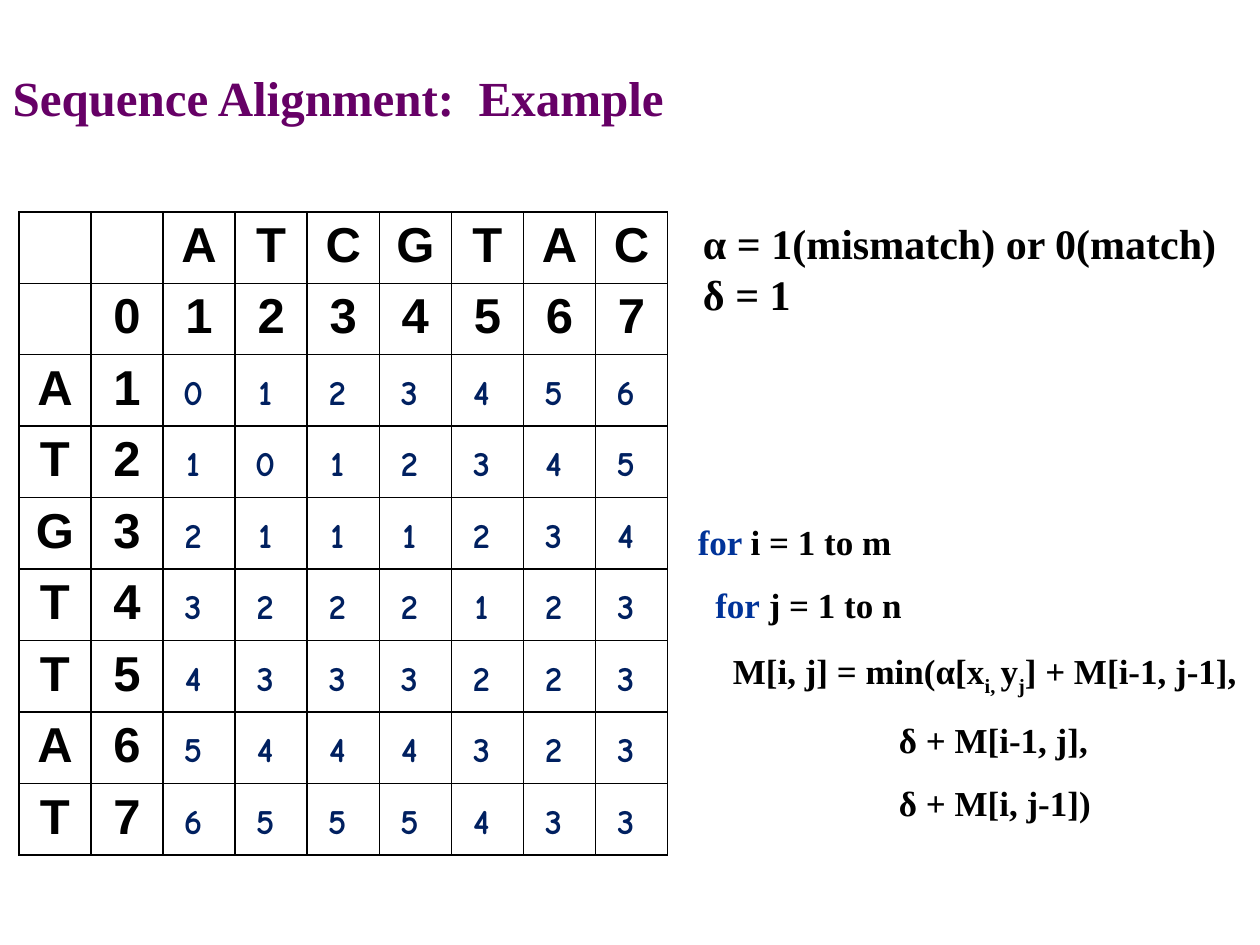
from lxml.etree import SubElement
from pptx import Presentation
from pptx.dml.color import RGBColor
from pptx.enum.shapes import MSO_SHAPE as Shape
from pptx.enum.text import MSO_ANCHOR as Anchor, MSO_AUTO_SIZE as AutoSize, PP_ALIGN as Align
from pptx.oxml.ns import qn
from pptx.util import Pt

PURPLE = RGBColor(0x66, 0x00, 0x66)
BLACK = RGBColor(0x00, 0x00, 0x00)
BLUE = RGBColor(0x00, 0x33, 0x99)
NAVY = RGBColor(0x00, 0x20, 0x60)
WHITE = RGBColor(0xFF, 0xFF, 0xFF)

SERIF = "Times New Roman"
TITLE = {"name": SERIF, "size": Pt(28), "bold": True, "color": PURPLE}
COSTS = {"name": SERIF, "size": Pt(24), "bold": True, "color": BLACK}
CODE = {"name": SERIF, "size": Pt(20), "bold": True, "color": BLACK}
HEADER = {"name": "Arial", "size": Pt(28), "bold": True, "color": BLACK}
SCORE = {"name": "Comic Neue", "size": Pt(20), "bold": True, "color": NAVY}
KEYWORD = {**CODE, "color": BLUE}
SUBSCRIPT = {**CODE, "baseline": -25000}

# Alignment matrix: sequences along the edges and distances inside
ACROSS = "ATCGTAC"
DOWN = "ATGTTAT"
DISTANCES = ["0123456", "1012345", "2111234", "3222123", "4333223", "5444323", "6555433"]
GRID_LEFT, GRID_TOP = 10.8, 121
COLUMN, ROW = 41.2, 40.85
SCORE_LEFT, SCORE_TOP = 98.1, 211
SCORE_WIDTH, SCORE_HEIGHT = 24.5, 25.2

COST_LINES = [[("α = 1(mismatch) or 0(match)", COSTS)], [("δ = 1", COSTS)]]
CODE_LINES = [
    [("for ", KEYWORD), ("i = 1 to m", CODE)],
    [("  ", CODE), ("for", KEYWORD), (" j = 1 to n", CODE)],
    [("    M[i, j] = min(α[x", CODE), ("i, ", SUBSCRIPT), ("y", CODE),
     ("j", SUBSCRIPT), ("] + M[i-1, j-1],", CODE)],
    [("                       δ + M[i-1, j],", CODE)],
    [("                       δ + M[i, j-1])", CODE)],
]


def add_span(para, text, style):
    span = para.add_run()
    span.text = text
    for key, value in style.items():
        if key == "color":
            span.font.color.rgb = value
        elif key == "baseline":
            span._r.get_or_add_rPr().set("baseline", str(value))
        else:
            setattr(span.font, key, value)


def add_title(page, text):
    title = page.shapes.title
    title.left, title.top, title.width, title.height = Pt(0), Pt(36.7), Pt(409.7), Pt(46)
    frame = title.text_frame
    frame.auto_size = AutoSize.NONE
    frame.vertical_anchor = Anchor.MIDDLE
    para = frame.paragraphs[0]
    para.alignment = Align.LEFT
    para.line_spacing = 0.7
    add_span(para, text, TITLE)


def add_text(page, left, top, width, height, lines, spacing=1.0):
    box = page.shapes.add_textbox(Pt(left), Pt(top), Pt(width), Pt(height))
    frame = box.text_frame
    frame.word_wrap = True
    frame.auto_size = AutoSize.SHAPE_TO_FIT_TEXT
    for index, line in enumerate(lines):
        para = frame.add_paragraph() if index else frame.paragraphs[0]
        para.line_spacing = spacing
        for text, style in line:
            add_span(para, text, style)


def format_cell(cell, text):
    properties = cell._tc.get_or_add_tcPr()
    for side in ("lnL", "lnR", "lnT", "lnB"):
        line = SubElement(properties, qn(f"a:{side}"), w=str(Pt(1)))
        fill = SubElement(line, qn("a:solidFill"))
        SubElement(fill, qn("a:srgbClr"), val=str(BLACK))
    cell.fill.background()
    if text.strip():
        para = cell.text_frame.paragraphs[0]
        para.alignment = Align.CENTER
        add_span(para, text, HEADER)


def add_grid(page):
    labels = ["  " + ACROSS, " 01234567"]
    labels += [f"{letter}{number}       " for number, letter in enumerate(DOWN, 1)]
    count = len(labels)
    table = page.shapes.add_table(count, count, Pt(GRID_LEFT), Pt(GRID_TOP),
                                  Pt(COLUMN * count), Pt(ROW * count)).table
    table.first_row = table.horz_banding = False
    for index, label in enumerate(labels):
        table.columns[index].width = Pt(COLUMN)
        table.rows[index].height = Pt(ROW)
        for column, text in enumerate(label):
            format_cell(table.cell(index, column), text)


def add_score(page, row, column, text):
    box = page.shapes.add_shape(
        Shape.RECTANGLE, Pt(SCORE_LEFT + column * COLUMN), Pt(SCORE_TOP + row * ROW),
        Pt(SCORE_WIDTH), Pt(SCORE_HEIGHT))
    box.shadow.inherit = False
    box.fill.solid()
    box.fill.fore_color.rgb = WHITE
    box.line.fill.background()
    frame = box.text_frame
    frame.word_wrap = False
    frame.vertical_anchor = Anchor.MIDDLE
    para = frame.paragraphs[0]
    para.alignment = Align.CENTER
    add_span(para, text, SCORE)


def main():
    deck = Presentation()
    deck.slide_width, deck.slide_height = Pt(720), Pt(540)
    page = deck.slides.add_slide(deck.slide_layouts[5])

    # Title, costs and recurrence
    add_title(page, "Sequence Alignment:  Example")
    add_text(page, 394.6, 121, 310.3, 65.5, COST_LINES)
    add_text(page, 391.7, 282.2, 328.3, 184.3, CODE_LINES, spacing=1.5)

    # Matrix with its scores
    add_grid(page)
    for row, scores in enumerate(DISTANCES):
        for column, score in enumerate(scores):
            add_score(page, row, column, score)

    deck.save("out.pptx")


if __name__ == "__main__":
    main()
